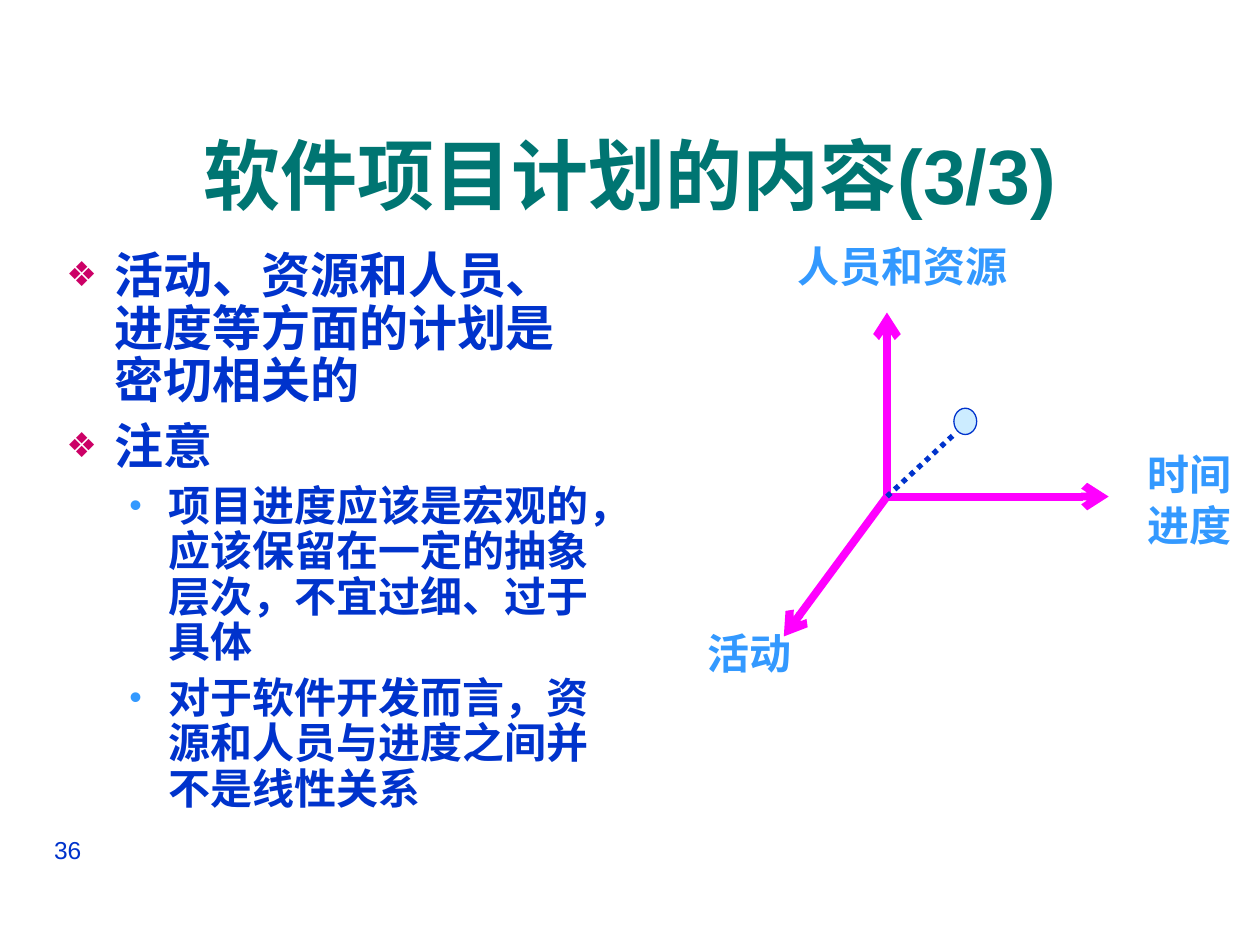
from lxml import etree
from pptx import Presentation
from pptx.dml.color import RGBColor
from pptx.enum.dml import MSO_LINE
from pptx.enum.lang import MSO_LANGUAGE_ID
from pptx.enum.shapes import MSO_CONNECTOR, MSO_SHAPE
from pptx.enum.text import MSO_ANCHOR, PP_ALIGN
from pptx.oxml.ns import qn
from pptx.util import Cm, Pt

LEFT, CENTER = PP_ALIGN.LEFT, PP_ALIGN.CENTER
TOP, MIDDLE = MSO_ANCHOR.TOP, MSO_ANCHOR.MIDDLE
STRAIGHT, OVAL, DOTTED = MSO_CONNECTOR.STRAIGHT, MSO_SHAPE.OVAL, MSO_LINE.ROUND_DOT
CHINESE = MSO_LANGUAGE_ID.SIMPLIFIED_CHINESE

# Content
TITLE = "软件项目计划的内容(3/3)"
PAGE_NUMBER = "36"
POINTS = [
    (0, "活动、资源和人员、进度等方面的计划是密切相关的"),
    (0, "注意"),
    (1, "项目进度应该是宏观的，应该保留在一定的抽象层次，不宜过细、过于具体"),
    (1, "对于软件开发而言，资源和人员与进度之间并不是线性关系"),
]

# Geometry in centimetres
TITLE_AT = (0.84, 1.91, 23.72, 3.18)
POINTS_AT = (1.09, 4.93, 11.23, 13.36)
NUMBER_AT = (0.84, 16.71, 6.35, 1.32)
ORIGIN = (17.88, 10.01)
AXES = [  # label, label box, arrow tip
    ("时间进度", (22.56, 8.92, 2.84, 2.29), (22.35, 10.01)),
    ("人员和资源", (15.29, 4.72, 5.79, 1.27), (17.88, 6.3)),
    ("活动", (13.69, 12.52, 2.84, 1.27), (15.8, 12.83)),
]
MARKER_AT = (19.23, 8.23, 0.46, 0.53)
MARKER_LINK = (19.23, 8.76)

THEME = {
    "title": {"name": "Arial", "size": Pt(44), "bold": True, "color": "007572"},
    "number": {"name": "Arial", "size": Pt(14), "color": "0033CC"},
    "label": {"name": "Times New Roman", "size": Pt(24), "bold": True, "color": "3399FF"},
    "levels": [
        {"font": {"name": "Arial", "size": Pt(28), "bold": True, "color": "0033CC"},
         "before": 7, "margin": 0.97, "hang": 0.97, "bullet": ("❖", "CC0066", 70)},
        {"font": {"name": "Arial", "size": Pt(24), "bold": True, "color": "0033CC"},
         "before": 6, "margin": 2.06, "hang": 0.79, "bullet": ("•", "3399FF", 85)},
    ],
    "axis": ("FF00FF", 4.5),
    "link": ("0033CC", 3),
    "outline": ("0033CC", 0.75),
    "marker": "CCECFF",
}


def add_box(page, place, anchor=TOP):
    frame = page.shapes.add_textbox(*map(Cm, place)).text_frame
    frame.word_wrap = True
    frame.vertical_anchor = anchor
    return frame


def write(para, text, style, align=LEFT, before=0):
    para.alignment, para.space_before = align, Pt(before)
    span = para.add_run()
    span.text = text
    span.font.language_id = CHINESE
    for name, value in style.items():
        if name == "color":
            span.font.color.rgb = RGBColor.from_string(value)
        else:
            setattr(span.font, name, value)


def add_bullet(para, level):
    mark, color, percent = level["bullet"]
    props = para._p.get_or_add_pPr()
    props.set("marL", str(Cm(level["margin"])))
    props.set("indent", str(-Cm(level["hang"])))
    bullet_color = etree.SubElement(props, qn("a:buClr"))
    etree.SubElement(bullet_color, qn("a:srgbClr"), val=color)
    etree.SubElement(props, qn("a:buSzPct"), val=str(percent * 1000))
    etree.SubElement(props, qn("a:buFont"), typeface="Arial")
    etree.SubElement(props, qn("a:buChar"), char=mark)


def paint_line(line, color, width):
    line.color.rgb = RGBColor.from_string(color)
    line.width = Pt(width)


def add_line(page, end, stroke):
    link = page.shapes.add_connector(STRAIGHT, *map(Cm, ORIGIN + end))
    paint_line(link.line, *stroke)
    etree.SubElement(link._element.spPr, qn("a:effectLst"))
    return link.line


def main():
    deck = Presentation()
    deck.slide_width, deck.slide_height = Cm(25.4), Cm(19.05)
    page = deck.slides.add_slide(deck.slide_layouts[6])

    # Page number and title
    write(add_box(page, NUMBER_AT).paragraphs[0], PAGE_NUMBER, THEME["number"])
    write(add_box(page, TITLE_AT, MIDDLE).paragraphs[0], TITLE, THEME["title"], CENTER)

    # Bulleted points
    frame = add_box(page, POINTS_AT)
    for index, (depth, text) in enumerate(POINTS):
        para = frame.add_paragraph() if index else frame.paragraphs[0]
        level = THEME["levels"][depth]
        para.level, para.line_spacing = depth, 0.9
        write(para, text, level["font"], before=level["before"])
        add_bullet(para, level)

    # Axes with their labels
    for text, place, tip in AXES:
        line = add_line(page, tip, THEME["axis"])
        etree.SubElement(line._get_or_add_ln(), qn("a:tailEnd"), type="arrow")
        write(add_box(page, place).paragraphs[0], text, THEME["label"], CENTER, 15)

    # Marker joined to the origin
    marker = page.shapes.add_shape(OVAL, *map(Cm, MARKER_AT))
    marker.shadow.inherit = False
    marker.fill.solid()
    marker.fill.fore_color.rgb = RGBColor.from_string(THEME["marker"])
    paint_line(marker.line, *THEME["outline"])
    add_line(page, MARKER_LINK, THEME["link"]).dash_style = DOTTED

    deck.save("out.pptx")


if __name__ == "__main__":
    main()
